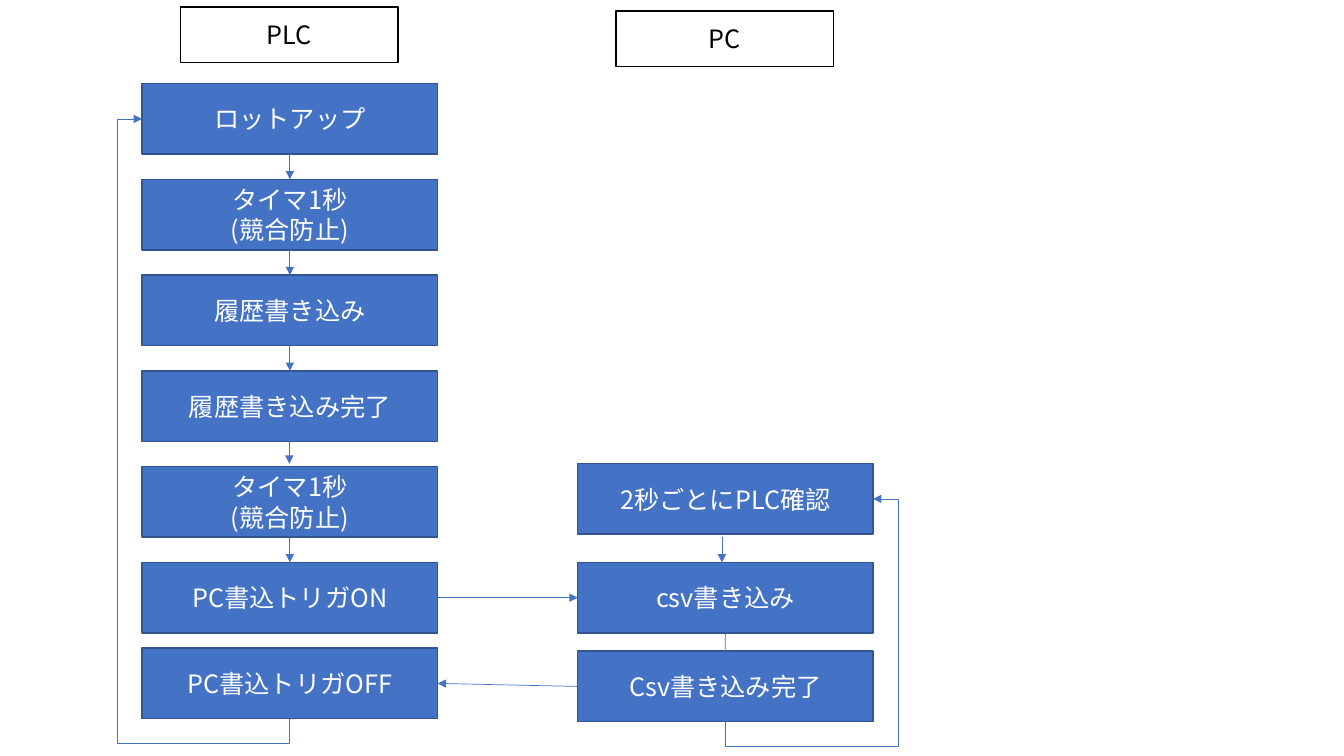
"""Build the PLC and PC handshake flowchart slide."""
from lxml import etree
from pptx import Presentation
from pptx.dml.color import RGBColor
from pptx.enum import shapes, text
from pptx.oxml.ns import qn
from pptx.util import Inches, Pt

WHITE = RGBColor(0xFF, 0xFF, 0xFF)
BLACK = RGBColor(0x00, 0x00, 0x00)
BLUE = RGBColor(0x44, 0x72, 0xC4)
NAVY = RGBColor(0x32, 0x54, 0x91)
FONT = "Noto Sans CJK JP"
STEP_WIDTH, STEP_HEIGHT, STEP_PITCH = 2.93, 0.7, 0.95
PLC_LEFT, PC_LEFT, FIRST_TOP = 1.41, 5.73, 0.83
LOOP_GAP = 0.25
TOP, LEFT, BOTTOM, RIGHT = range(4)

deck = Presentation()
deck.slide_width, deck.slide_height = Inches(13.33), Inches(7.5)
page = deck.slides.add_slide(deck.slide_layouts[6])


def add_box(words, left, top, width, height, fill, edge, ink):
    box = page.shapes.add_shape(
        shapes.MSO_SHAPE.RECTANGLE, Inches(left), Inches(top), Inches(width), Inches(height))
    box.shadow.inherit = False
    box.fill.solid()
    box.fill.fore_color.rgb = fill
    box.line.color.rgb = edge
    box.line.width = Pt(1)
    frame = box.text_frame
    frame.text = words
    frame.word_wrap = True
    frame.vertical_anchor = text.MSO_ANCHOR.MIDDLE
    for para in frame.paragraphs:
        para.alignment = text.PP_ALIGN.CENTER
        para.font.size = Pt(18)
        para.font.name = FONT
        para.font.color.rgb = ink
        etree.SubElement(para._p.pPr.find(qn("a:defRPr")), qn("a:ea"), typeface=FONT)
    return box


def add_arrow(kind, x1, y1, x2, y2):
    arrow = page.shapes.add_connector(kind, Inches(x1), Inches(y1), Inches(x2), Inches(y2))
    arrow.line.color.rgb = BLUE
    arrow.line.width = Pt(0.5)
    etree.SubElement(arrow.line._get_or_add_ln(), qn("a:tailEnd"), type="triangle")
    etree.SubElement(arrow._element.spPr, qn("a:effectLst"))
    return arrow


for name, left, top in (("PLC", 1.79, 0.07), ("PC", 6.11, 0.11)):
    add_box(name, left, top, 2.16, 0.55, WHITE, BLACK, BLACK)

plc_words = ["ロットアップ", "タイマ1秒\n(競合防止)", "履歴書き込み", "履歴書き込み完了",
             "タイマ1秒\n(競合防止)", "PC書込トリガON"]
plc_steps = [(words, PLC_LEFT, FIRST_TOP + STEP_PITCH * row) for row, words in enumerate(plc_words)]
plc_steps.append(("PC書込トリガOFF", PLC_LEFT, 6.43))
pc_steps = [("2秒ごとにPLC確認", PC_LEFT, 4.6), ("csv書き込み", PC_LEFT, 5.58),
            ("Csv書き込み完了", PC_LEFT, 6.46)]
plc_boxes, pc_boxes = (
    [add_box(*step, STEP_WIDTH, STEP_HEIGHT, BLUE, NAVY, WHITE) for step in steps]
    for steps in (plc_steps, pc_steps))

STRAIGHT = shapes.MSO_CONNECTOR.STRAIGHT
joins = [(plc_boxes[row], BOTTOM, plc_boxes[row + 1], TOP) for row in (0, 1, 2, 4)]
joins += [(plc_boxes[5], RIGHT, pc_boxes[1], LEFT), (pc_boxes[2], LEFT, plc_boxes[6], RIGHT)]
for source, source_side, target, target_side in joins:
    arrow = add_arrow(STRAIGHT, 0, 0, 1, 1)
    arrow.begin_connect(source, source_side)
    arrow.end_connect(target, target_side)

add_arrow(STRAIGHT, 2.87, 4.35, 2.87, 4.6)
add_arrow(STRAIGHT, 7.16, 5.33, 7.16, 5.58)
add_arrow(STRAIGHT, 7.19, 6.28, 7.19, 6.56).begin_connect(pc_boxes[1], BOTTOM)

loops = [(2.87, 7.13, PLC_LEFT, 1.18), (7.19, 7.16, PC_LEFT + STEP_WIDTH, 4.95)]
for x1, y1, x2, y2 in loops:
    middle_x, middle_y = (x1 + x2) / 2, (y1 + y2) / 2
    half_rise, half_run = (y1 - y2) / 2, (x1 - x2) / 2
    loop = add_arrow(shapes.MSO_CONNECTOR.ELBOW, middle_x + half_rise, middle_y - half_run,
                     middle_x - half_rise, middle_y + half_run)
    loop._element.spPr.find(qn("a:xfrm")).set("rot", "5400000")
    geometry = loop._element.spPr.find(qn("a:prstGeom"))
    geometry.set("prst", "bentConnector4")
    bends = geometry.find(qn("a:avLst"))
    ratios = (-LOOP_GAP / abs(y1 - y2), 1 + LOOP_GAP / abs(x1 - x2))
    for number, ratio in enumerate(ratios, start=1):
        etree.SubElement(bends, qn("a:gd"), name=f"adj{number}", fmla=f"val {round(ratio * 100000)}")

deck.save("out.pptx")
